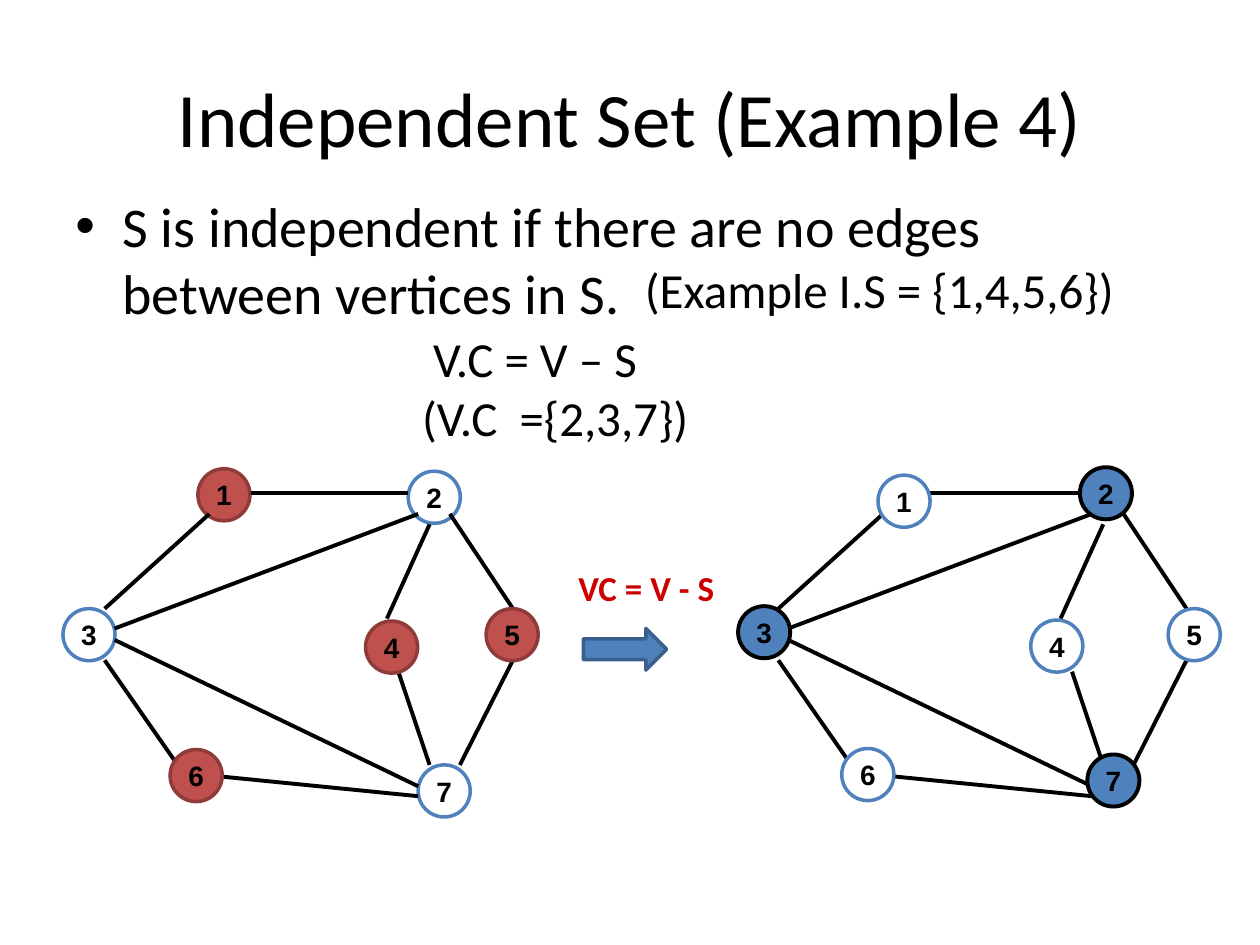
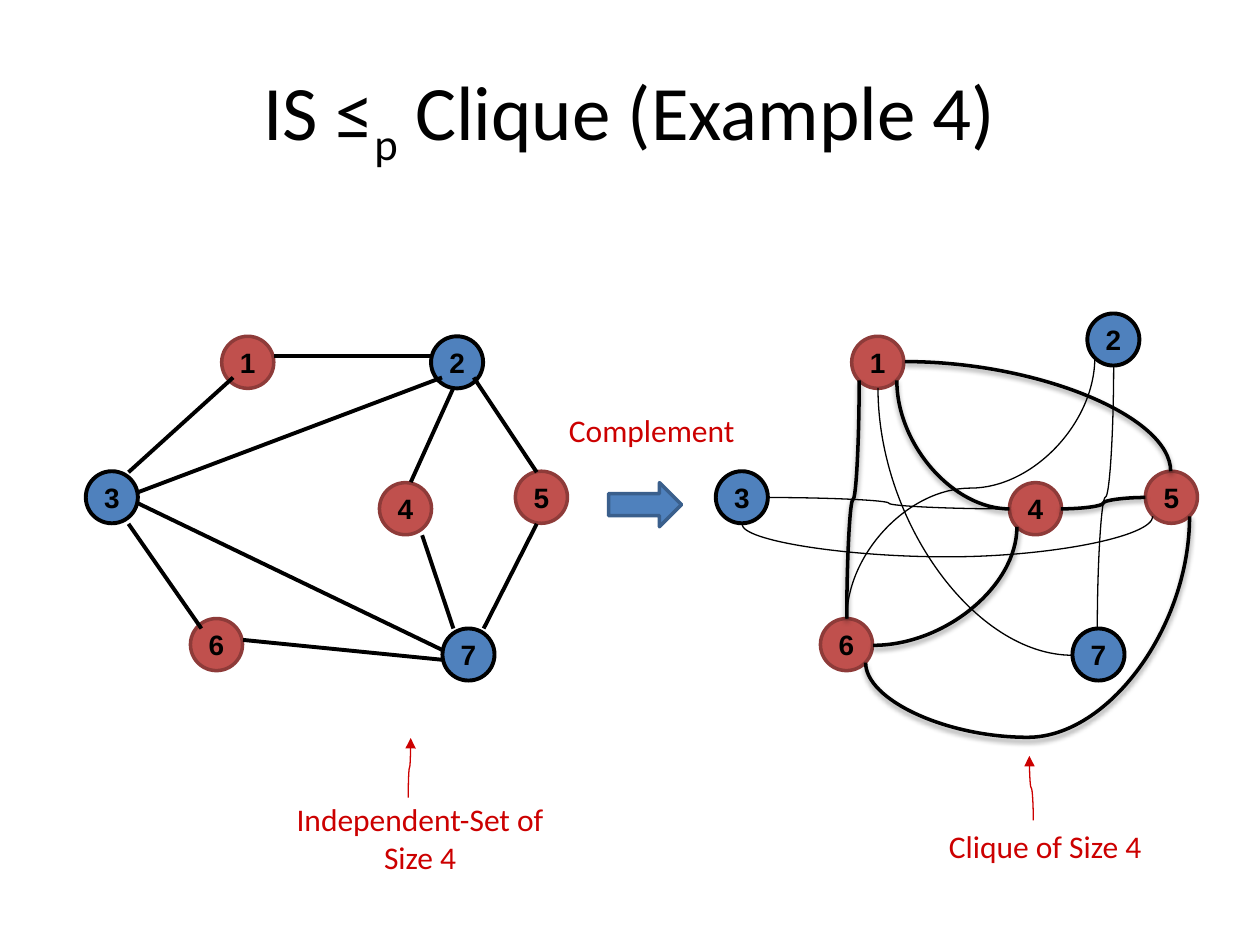
from lxml.etree import SubElement
from pptx import Presentation
from pptx.dml.color import RGBColor
from pptx.enum.shapes import MSO_CONNECTOR, MSO_SHAPE
from pptx.enum.text import MSO_ANCHOR, PP_ALIGN
from pptx.oxml.ns import qn
from pptx.util import Cm, Pt

BLACK, WHITE, BLUE, RED, CAPTION_RED = "000000", "FFFFFF", "4F81BD", "C0504D", "CC0000"
NODE_SIZE = 1.05
NODE_STYLES = {
    "plain": (WHITE, BLUE, 2),
    "independent": (RED, "8E3B39", 2),
    "cover": (BLUE, BLACK, 2.25),
}
INDEPENDENT_SET, VERTEX_COVER = "1456", "237"
INDEPENDENT_STYLES = dict.fromkeys(INDEPENDENT_SET, "independent")
COVER_STYLES = dict.fromkeys(VERTEX_COVER, "cover")
ALL_STYLES = INDEPENDENT_STYLES | COVER_STYLES

EDGES = [
    ((2.11, 12.27), (4.22, 10.36)),
    ((5.05, 9.93), (8.23, 9.93)),
    ((9.07, 10.36), (10.34, 12.27)),
    ((8.66, 10.57), (7.8, 12.47)),
    ((2.31, 12.67), (8.43, 10.36)),
    ((2.11, 13.31), (3.58, 15.42)),
    ((2.31, 12.9), (8.43, 15.85)),
    ((4.42, 15.65), (8.43, 16.05)),
    ((8.03, 13.54), (8.66, 15.42)),
    ((10.34, 13.31), (9.27, 15.42)),
]
SET_NODES = {
    "1": (3.99, 9.45), "3": (1.27, 12.27), "2": (8.23, 9.5), "7": (8.43, 15.42),
    "4": (7.37, 12.52), "5": (9.8, 12.27), "6": (3.43, 15.11),
}
COVER_NODES = {
    "1": (17.7, 9.58), "6": (16.97, 15.09), "4": (20.78, 12.5), "5": (23.55, 12.27),
    "3": (14.88, 12.22), "7": (21.92, 15.21), "2": (21.77, 9.42),
}
SOURCE_NODES = {
    "1": (4.47, 6.78), "3": (1.73, 9.5), "2": (8.69, 6.78), "6": (3.84, 12.47),
    "7": (8.92, 12.67), "4": (7.65, 9.73), "5": (10.39, 9.5),
}
COMPLEMENT_NODES = {n: (x + 12.7, y) for n, (x, y) in SOURCE_NODES.items()}
COMPLEMENT_NODES["2"] = (21.92, 6.32)

CLIQUE_EDGES = [
    ((18.24, 7.29), (23.6, 9.5), "across", None),
    ((18.08, 7.67), (20.35, 10.26), "down", None),
    ((17.32, 7.67), (17.07, 12.47), "down", 0.5),
    ((21.39, 10.26), (23.09, 10.03), "across", 0.5),
    ((20.5, 10.62), (17.6, 13.01), "down", None),
    ((23.98, 10.41), (17.45, 13.36), "down", 1.51),
]
OTHER_EDGES = [
    ((14.96, 10.57), (23.24, 10.41), "down", -4.11),
    ((17.7, 7.82), (21.62, 13.21), "down", None),
    ((22.45, 7.37), (22.12, 12.67), "down", 0.5),
    ((22.07, 7.21), (17.07, 12.47), "down", 0.5),
    ((15.49, 10.03), (20.35, 10.26), "across", 0.5),
]
POINTERS = [
    ((8.23, 16.08), (8.28, 14.88), "down", 0.5),
    ((20.83, 16.54), (20.75, 15.24), "down", 0.5),
]
DEFINITION = "S is independent if there are no edges between vertices in S."
NOTES = [
    ((11.48, 5.11, 11.35, 1.45), [("(Example I.S = {1,4,5,6})", 1.27)]),
    ((6.99, 6.5, 7.24, 2.64), [("V.C = V – S", 1.49), ("(V.C  ={2,3,7})", 1.27)]),
]
SET_TITLE = [("Independent Set (Example 4)", False)]
CLIQUE_TITLE = [("IS ≤", False), ("p", True), (" Clique (Example 4)", False)]
SET_CAPTION = ("VC = V - S", (10.82, 10.92, 4.42, 1.85))
CLIQUE_CAPTIONS = [
    ("Independent-Set of Size 4", (5.64, 15.09, 5.66, 3.61)),
    ("Clique of Size 4", (18.24, 15.24, 5.66, 3.61)),
    ("Complement", (10.31, 6.86, 5.66, 3.61)),
]


def color(value):
    return RGBColor.from_string(value)


def style_font(paragraph, size, value=BLACK, bold=False, name="Calibri"):
    font = paragraph.font
    font.name, font.size, font.bold = name, Pt(size), bold
    font.color.rgb = color(value)


def add_box(slide, box, wrap=True, anchor=MSO_ANCHOR.TOP):
    frame = slide.shapes.add_textbox(*map(Cm, box)).text_frame
    frame.word_wrap, frame.vertical_anchor = wrap, anchor
    return frame


def indent(paragraph, left, first=0):
    properties = paragraph._p.get_or_add_pPr()
    properties.set("marL", str(Cm(left)))
    properties.set("indent", str(Cm(first)))
    return properties


def add_title(slide, parts):
    title = add_box(slide, (1.27, 0.76, 22.86, 3.18), anchor=MSO_ANCHOR.MIDDLE).paragraphs[0]
    title.alignment = PP_ALIGN.CENTER
    style_font(title, 44)
    for text, subscript in parts:
        run = title.add_run()
        run.text = text
        if subscript:
            run.font._element.set("baseline", "-25000")


def add_definition(slide):
    definition = add_box(slide, (1.27, 3.73, 22.86, 5.72)).paragraphs[0]
    definition.text = DEFINITION
    properties = indent(definition, 0.95, -0.95)
    SubElement(properties, qn("a:buFont"), typeface="Arial")
    SubElement(properties, qn("a:buChar"), char="•")
    style_font(definition, 32)


def add_note(slide, box, lines):
    frame = add_box(slide, box, wrap=False)
    for i, (text, left) in enumerate(lines):
        line = frame.add_paragraph() if i else frame.paragraphs[0]
        line.text = text
        indent(line, left)
        style_font(line, 28)


def add_caption(slide, text, box, size=18, bold=False):
    frame = add_box(slide, box, anchor=MSO_ANCHOR.MIDDLE)
    frame.margin_top = frame.margin_bottom = Cm(0.25)
    caption = frame.paragraphs[0]
    caption.text, caption.alignment = text, PP_ALIGN.CENTER
    style_font(caption, size, CAPTION_RED, bold)


def add_filled(slide, preset, box, fill, outline, width):
    shape = slide.shapes.add_shape(preset, *map(Cm, box))
    shape.shadow.inherit = False
    shape.fill.solid()
    shape.fill.fore_color.rgb = color(fill)
    shape.line.color.rgb = color(outline)
    shape.line.width = Pt(width)
    return shape


def add_node(slide, label, place, style):
    box = (*place, NODE_SIZE, NODE_SIZE)
    frame = add_filled(slide, MSO_SHAPE.OVAL, box, *NODE_STYLES[style]).text_frame
    frame.word_wrap, frame.vertical_anchor = False, MSO_ANCHOR.MIDDLE
    number = frame.paragraphs[0]
    number.text, number.alignment = label, PP_ALIGN.CENTER
    style_font(number, 16, bold=True, name="Arial")


def add_arrow(slide, box):
    add_filled(slide, MSO_SHAPE.RIGHT_ARROW, box, BLUE, "3A5F8C", 2)


def add_line(slide, kind, start, end, width, value=BLACK):
    line = slide.shapes.add_connector(kind, *map(Cm, (*start, *end)))
    line.line.color.rgb = color(value)
    line.line.width = Pt(width)
    effects = SubElement(line._element.spPr, qn("a:effectLst"))
    return line, effects


def add_curve(slide, start, end, heading, bend, width, value=BLACK, shadow=False, head=False):
    (x1, y1), (x2, y2) = start, end
    dx, dy = x2 - x1, y2 - y1
    rotation = 0
    if heading == "down":
        rotation = 270 if dx * dy > 0 else 90
        center_x, center_y = (x1 + x2) / 2, (y1 + y2) / 2
        half_x = -abs(dy) / 2 if dx > 0 else abs(dy) / 2
        half_y = -abs(dx) / 2 if dy < 0 else abs(dx) / 2
        start = center_x - half_x, center_y - half_y
        end = center_x + half_x, center_y + half_y
    curve, effects = add_line(slide, MSO_CONNECTOR.CURVE, start, end, width, value)
    properties = curve._element.spPr
    properties.find(qn("a:xfrm")).set("rot", str(rotation * 60000))
    geometry = properties.find(qn("a:prstGeom"))
    if bend is None:
        geometry.set("prst", "curvedConnector2")
    else:
        SubElement(geometry.find(qn("a:avLst")), qn("a:gd"),
                   name="adj1", fmla=f"val {round(bend * 100000)}")
    if shadow:
        outer = SubElement(effects, qn("a:outerShdw"), blurRad=str(Pt(3.1)),
                           dist=str(Pt(1.6)), dir="5400000", rotWithShape="0")
        tint = SubElement(outer, qn("a:srgbClr"), val=BLACK)
        SubElement(tint, qn("a:alpha"), val="38000")
    if head:
        SubElement(properties.find(qn("a:ln")), qn("a:tailEnd"), type="triangle")


def add_nodes(slide, nodes, styles):
    for label, place in nodes:
        add_node(slide, label, place, styles.get(label, "plain"))


def add_graph(slide, nodes, styles, shift, nodes_below):
    places = list(nodes.items())
    add_nodes(slide, places[:nodes_below], styles)
    for ends in EDGES:
        start, end = [(x + shift[0], y + shift[1]) for x, y in ends]
        add_line(slide, MSO_CONNECTOR.STRAIGHT, start, end, 2.25)
    add_nodes(slide, places[nodes_below:], styles)


def build_set_slide(slide):
    add_title(slide, SET_TITLE)
    add_definition(slide)
    add_graph(slide, SET_NODES, INDEPENDENT_STYLES, (0, 0), 4)
    add_graph(slide, COVER_NODES, COVER_STYLES, (13.58, 0), 0)
    for box, lines in NOTES:
        add_note(slide, box, lines)
    add_caption(slide, *SET_CAPTION, size=20, bold=True)
    add_arrow(slide, (11.76, 12.67, 1.68, 0.84))


def build_clique_slide(slide):
    add_title(slide, CLIQUE_TITLE)
    add_graph(slide, SOURCE_NODES, ALL_STYLES, (0.48, -2.75), len(SOURCE_NODES))
    add_nodes(slide, COMPLEMENT_NODES.items(), ALL_STYLES)
    for edge in OTHER_EDGES:
        add_curve(slide, *edge, width=0.75)
    for edge in CLIQUE_EDGES:
        add_curve(slide, *edge, width=2, shadow=True)
    add_arrow(slide, (12.27, 9.73, 1.47, 0.89))
    for pointer in POINTERS:
        add_curve(slide, *pointer, width=0.75, value=CAPTION_RED, head=True)
    for text, box in CLIQUE_CAPTIONS:
        add_caption(slide, text, box)


def main():
    deck = Presentation()
    deck.slide_width, deck.slide_height = Cm(25.4), Cm(19.05)
    for build in (build_set_slide, build_clique_slide):
        build(deck.slides.add_slide(deck.slide_layouts[6]))
    deck.save("out.pptx")


if __name__ == "__main__":
    main()
